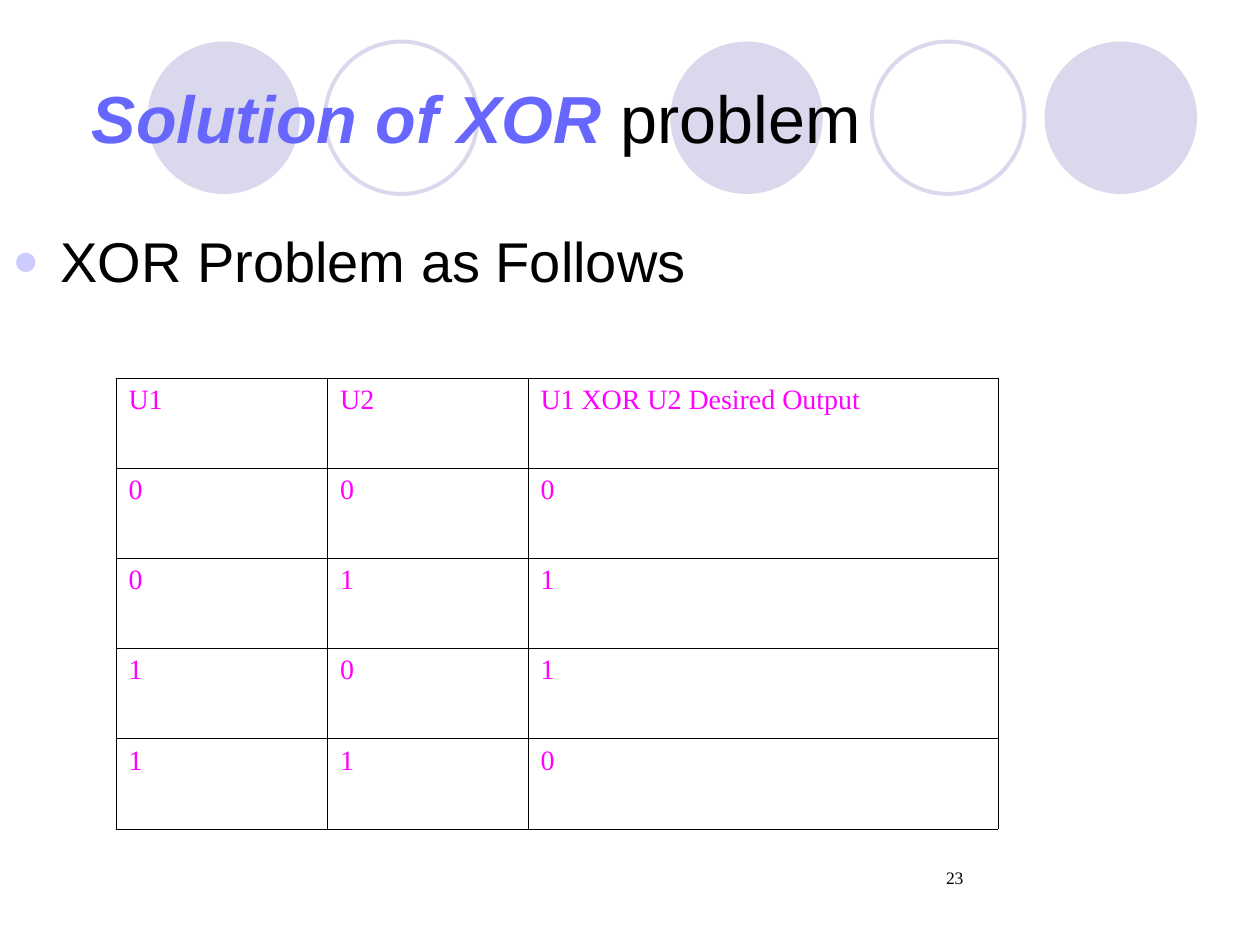
from lxml.etree import SubElement
from pptx import Presentation
from pptx.dml.color import RGBColor
from pptx.enum.shapes import MSO_SHAPE
from pptx.enum.text import MSO_ANCHOR
from pptx.oxml.ns import qn
from pptx.util import Inches, Pt

HUES = {"disc": "D9D8EC", "title": "6767FF", "text": "000000",
        "dot": "CCCCFF", "cell": "FF00FF", "grid": "000000"}
DISCS = [(5.32, True), (8.29, True), (1.17, True), (6.92, False), (2.58, False)]
ROWS = [("U1", "U2", "U1 XOR U2 Desired Output"),
        ("0", "0", "0"), ("0", "1", "1"), ("1", "0", "1"), ("1", "1", "0")]
COLS = (1.68, 1.59, 3.73)


def hue(name):
    """Return a named colour."""
    return RGBColor.from_string(HUES[name])


def write(para, text, size=16, color="text", font="Arial", bold=False, slant=False):
    """Add a formatted run to a paragraph."""
    run = para.add_run()
    run.text = text
    face = run.font
    face.name, face.size = font, Pt(size)
    face.bold, face.italic = bold, slant
    face.color.rgb = hue(color)


def add_disc(slide, left, solid):
    """Draw a filled disc or an open ring."""
    side = Inches(1.21)
    disc = slide.shapes.add_shape(MSO_SHAPE.OVAL, Inches(left), Inches(0.33), side, side)
    disc.shadow.inherit = False
    if solid:
        disc.fill.solid()
        disc.fill.fore_color.rgb = hue("disc")
        disc.line.fill.background()
    else:
        disc.fill.background()
        disc.line.color.rgb = hue("disc")
        disc.line.width = Pt(2.25)


def add_text(slide, box, anchor=MSO_ANCHOR.TOP, margin=0, indent=0):
    """Add a text box and return its first paragraph."""
    frame = slide.shapes.add_textbox(*map(Inches, box)).text_frame
    frame.word_wrap = True
    frame.vertical_anchor = anchor
    para = frame.paragraphs[0]
    props = para._p.get_or_add_pPr()
    props.set("marL", str(Inches(margin)))
    props.set("indent", str(Inches(indent)))
    return para


def add_dot(para):
    """Give a paragraph a round coloured bullet."""
    para.space_before = Pt(8)
    props = para._p.get_or_add_pPr()
    SubElement(SubElement(props, qn("a:buClr")), qn("a:srgbClr"), val=HUES["dot"])
    SubElement(props, qn("a:buSzPct"), val="80000")
    SubElement(props, qn("a:buFont"), typeface="Arial")
    SubElement(props, qn("a:buChar"), char="●")


def add_edges(cell):
    """Rule all four sides of a cell."""
    props = cell._tc.get_or_add_tcPr()
    for side in ("lnL", "lnR", "lnT", "lnB"):
        line = SubElement(props, qn("a:" + side), w=str(Pt(0.45)))
        fill = SubElement(line, qn("a:solidFill"))
        SubElement(fill, qn("a:srgbClr"), val=HUES["grid"])


def add_grid(slide):
    """Add the truth table."""
    table = slide.shapes.add_table(len(ROWS), len(COLS), Inches(0.92), Inches(3),
                                   Inches(sum(COLS)), Inches(3.58)).table
    table.first_row = table.horz_banding = False
    for col, width in zip(table.columns, COLS):
        col.width = Inches(width)
    for row, words in zip(table.rows, ROWS):
        for cell, word in zip(row.cells, words):
            add_edges(cell)
            cell.fill.background()
            write(cell.text_frame.paragraphs[0], word, color="cell", font="Times New Roman")


def main():
    """Build and save the slide."""
    deck = Presentation()
    deck.slide_width, deck.slide_height = Inches(10), Inches(7.5)
    slide = deck.slides.add_slide(deck.slide_layouts[6])
    for left, solid in DISCS:
        add_disc(slide, left, solid)
    title = add_text(slide, (0.5, 0.3, 9, 1.25), MSO_ANCHOR.MIDDLE, margin=0.13)
    write(title, "Solution of XOR", size=38, color="title", bold=True, slant=True)
    write(title, " problem", size=38)
    body = add_text(slide, (0, 1.75, 9, 4.95), margin=0.38, indent=-0.38)
    add_dot(body)
    write(body, "XOR Problem as Follows", size=32)
    add_grid(slide)
    page = add_text(slide, (7.17, 6.83, 2.33, 0.5), margin=0.24)
    write(page, "23", size=10, font="Times New Roman")
    deck.save("out.pptx")


if __name__ == "__main__":
    main()
